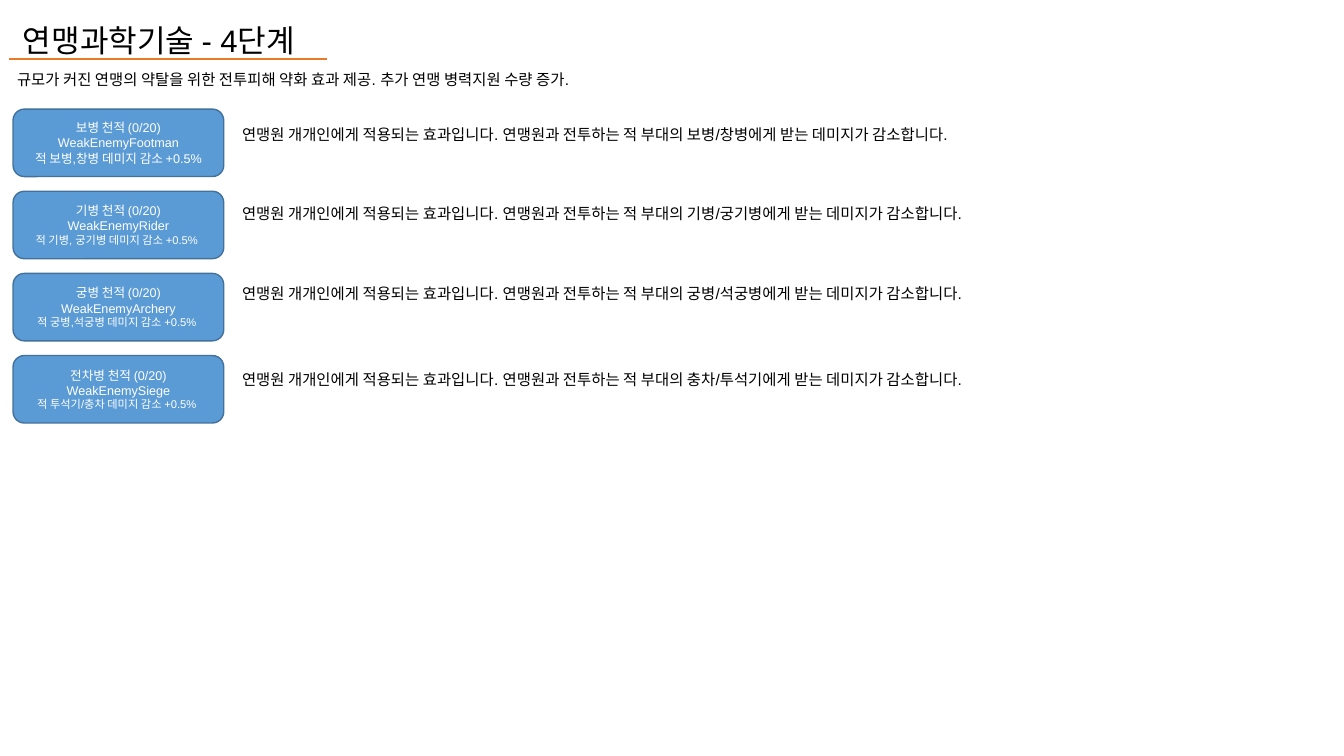
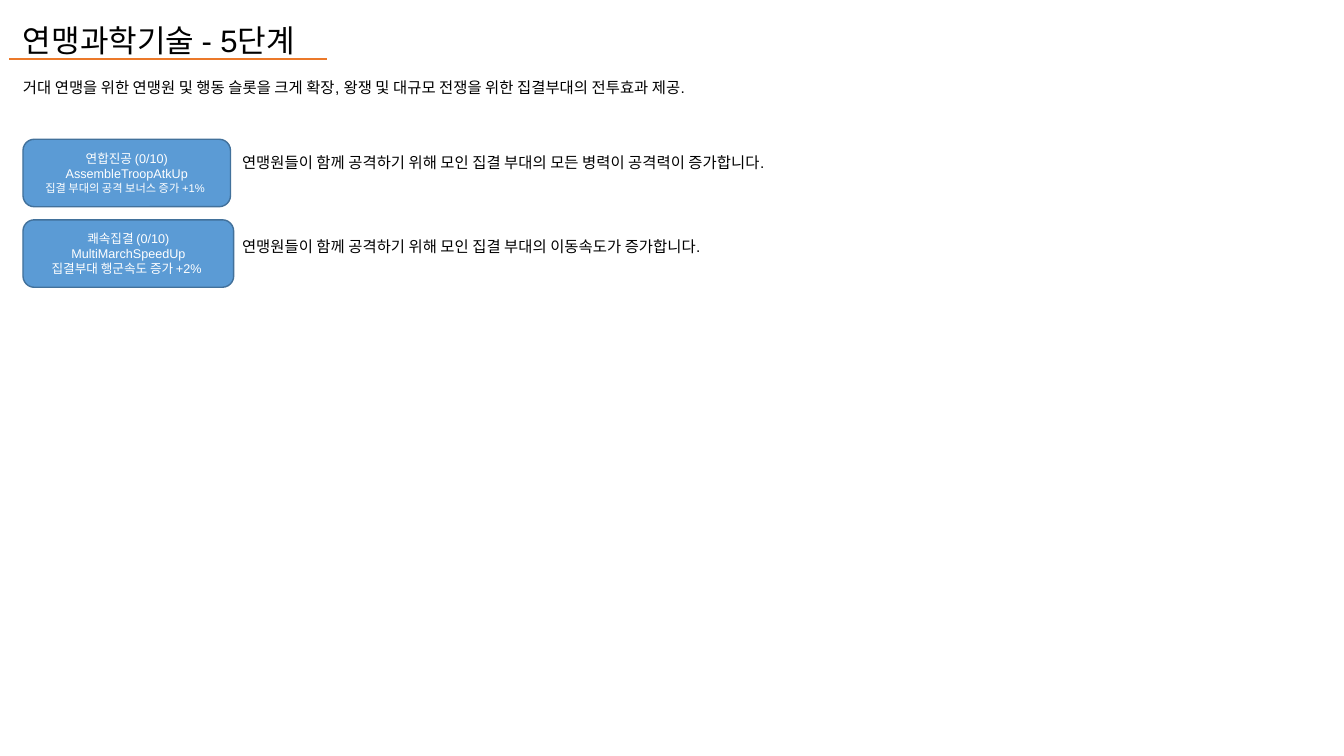
"""Build two slides on the alliance technology tiers."""
from pptx import Presentation
from pptx.dml.color import RGBColor
from pptx.enum.shapes import MSO_CONNECTOR, MSO_SHAPE
from pptx.enum.text import MSO_ANCHOR as Anchor, PP_ALIGN as Align
from pptx.oxml.ns import qn
from pptx.util import Cm, Pt
from lxml.etree import SubElement

FONT = "Arial"
BLACK, WHITE = "000000", "FFFFFF"
ORANGE, BLUE, DARK_BLUE = "EB792A", "5B9BD5", "42719B"
CARD_HEIGHT = 1.7
EFFECT = "연맹원 개개인에게 적용되는 효과입니다. 연맹원과 전투하는 적 부대의 {}에게 받는 데미지가 감소합니다."
RALLY = "연맹원들이 함께 공격하기 위해 모인 집결 부대의 {} 증가합니다."

# Each skill: name, key, bonus, bonus size, card width, description, description top
TIERS = [
    {
        "title": "연맹과학기술 - 4단계",
        "summary": "규모가 커진 연맹의 약탈을 위한 전투피해 약화 효과 제공. 추가 연맹 병력지원 수량 증가.",
        "summary_box": (0.18, 1.65, 16.1, 0.74),
        "cards": (0.33, 2.75, 2.07),
        "skills": [
            ("보병 천적 (0/20)", "WeakEnemyFootman", "적 보병,창병 데미지 감소 +0.5%",
             9, 5.31, EFFECT.format("보병/창병"), 2.79),
            ("기병 천적 (0/20)", "WeakEnemyRider", "적 기병, 궁기병 데미지 감소 +0.5% ",
             8, 5.31, EFFECT.format("기병/궁기병"), 4.78),
            ("궁병 천적 (0/20)", "WeakEnemyArchery", "적 궁병,석궁병 데미지 감소 +0.5% ",
             8, 5.31, EFFECT.format("궁병/석궁병"), 6.81),
            ("전차병 천적 (0/20)", "WeakEnemySiege", "적 투석기/충차 데미지 감소 +0.5% ",
             8, 5.31, EFFECT.format("충차/투석기"), 8.97),
        ],
    },
    {
        "title": "연맹과학기술 - 5단계",
        "summary": "거대 연맹을 위한 연맹원 및 행동 슬롯을 크게 확장, 왕쟁 및 대규모 전쟁을 위한 집결부대의 전투효과 제공.",
        "summary_box": (0.33, 1.85, 19.35, 0.74),
        "cards": (0.58, 3.51, 2.03),
        "skills": [
            ("연합진공 (0/10)", "AssembleTroopAtkUp", "집결 부대의 공격 보너스 증가 +1% ",
             8, 5.23, RALLY.format("모든 병력이 공격력이"), 3.51),
            ("쾌속집결 (0/10)", "MultiMarchSpeedUp", "집결부대 행군속도 증가 +2% ",
             9, 5.31, RALLY.format("이동속도가"), 5.63),
        ],
    },
]


def color(value):
    return RGBColor.from_string(value)


def style(paragraph, size, font_color):
    for run in paragraph.runs:
        run.font.name = FONT
        run.font.size = Pt(size)
        run.font.color.rgb = color(font_color)


def add_text(slide, text, box, size, spacing=None):
    text_frame = slide.shapes.add_textbox(*map(Cm, box)).text_frame
    text_frame.word_wrap = True
    text_frame.text = text
    paragraph = text_frame.paragraphs[0]
    if spacing:
        paragraph.line_spacing = spacing
    style(paragraph, size, BLACK)


def add_header(slide, title):
    add_text(slide, title, (0.33, 0.03, 19.96, 1.63), 22.2, 1.4)
    underline = slide.shapes.add_connector(
        MSO_CONNECTOR.STRAIGHT, Cm(0.23), Cm(1.48), Cm(8.23), Cm(1.48))
    underline.line.color.rgb = color(ORANGE)
    underline.line.width = Pt(1.5)
    SubElement(underline._element.spPr, qn("a:effectLst"))


def add_card(slide, lines, sizes, box):
    card = slide.shapes.add_shape(MSO_SHAPE.ROUNDED_RECTANGLE, *map(Cm, box))
    card.shadow.inherit = False
    card.fill.solid()
    card.fill.fore_color.rgb = color(BLUE)
    card.line.color.rgb = color(DARK_BLUE)
    card.line.width = Pt(1)
    text_frame = card.text_frame
    text_frame.word_wrap = True
    text_frame.vertical_anchor = Anchor.MIDDLE
    text_frame.text = "\n".join(lines)
    for paragraph, size in zip(text_frame.paragraphs, sizes):
        paragraph.alignment = Align.CENTER
        style(paragraph, size, WHITE)


presentation = Presentation()
presentation.slide_width, presentation.slide_height = Cm(33.87), Cm(19.05)
for tier in TIERS:
    slide = presentation.slides.add_slide(presentation.slide_layouts[6])
    add_header(slide, tier["title"])
    add_text(slide, tier["summary"], tier["summary_box"], 11)
    left, top, pitch = tier["cards"]
    for row, skill in enumerate(tier["skills"]):
        name, key, bonus, bonus_size, width, description, text_top = skill
        add_card(slide, (name, key, bonus), (9, 9, bonus_size),
                 (left, top + row * pitch, width, CARD_HEIGHT))
        add_text(slide, description, (5.85, text_top, 27.25, 1.65), 11, 1.5)
presentation.save("out.pptx")
